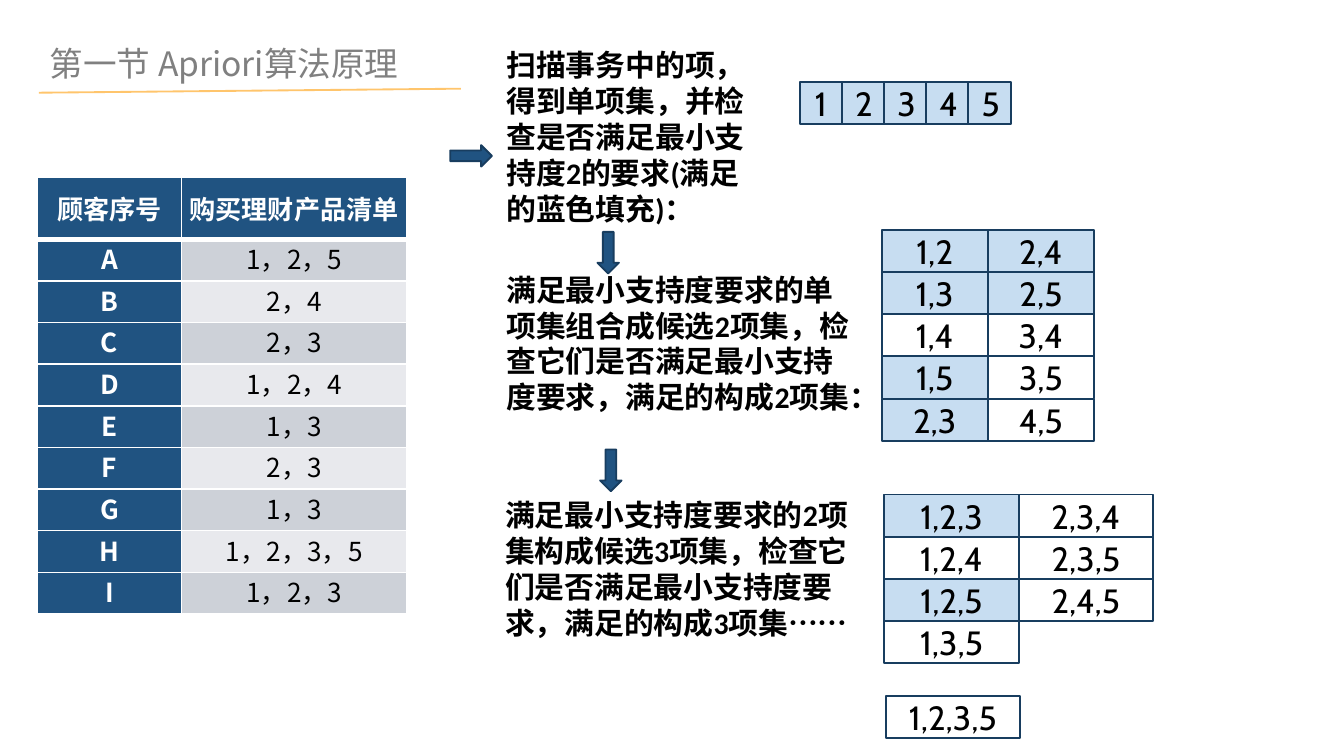
from dataclasses import dataclass

import lxml.etree
import pptx
import pptx.dml.color
import pptx.enum.shapes
import pptx.enum.text
import pptx.oxml.ns
import pptx.util

Inches = pptx.util.Inches
Pt = pptx.util.Pt
qn = pptx.oxml.ns.qn
SHAPES = pptx.enum.shapes.MSO_SHAPE
ANCHOR = pptx.enum.text.MSO_ANCHOR
CENTER = pptx.enum.text.PP_ALIGN.CENTER

COLORS = {
    "navy": "205381", "outline": "183D5F", "frequent": "C7DDF1", "white": "FFFFFF",
    "black": "000000", "title": "808080", "rule": "FFC56C", "odd": "CDD1D8", "even": "E8E9ED",
}
CJK_FONT = "Noto Sans CJK SC"
PAGE_WIDTH = 10
PAGE_HEIGHT = PAGE_WIDTH * 9 / 16
ITEM_SIDE = 1.57 / 5


@dataclass
class Note:
    left: float
    top: float
    width: float
    text: str


@dataclass
class Arrow:
    left: float
    top: float
    rotation: int


@dataclass
class ItemGrid:
    left: float
    top: float
    width: float
    columns: list[list[str]]
    frequent: set[str]


TRANSACTIONS = {
    "A": "1，2，5", "B": "2，4", "C": "2，3", "D": "1，2，4", "E": "1，3",
    "F": "2，3", "G": "1，3", "H": "1，2，3，5", "I": "1，2，3",
}
NOTES = [
    Note(3.67, 0.3, 2.05, "扫描事务中的项，得到单项集，并检查是否满足最小支持度2的要求(满足的蓝色填充)："),
    Note(3.67, 1.97, 2.76, "满足最小支持度要求的单项集组合成候选2项集，检查它们是否满足最小支持度要求，满足的构成2项集："),
    Note(3.66, 3.65, 2.76, "满足最小支持度要求的2项集构成候选3项集，检查它们是否满足最小支持度要求，满足的构成3项集……"),
]
ARROWS = [Arrow(3.35, 1.08, 0), Arrow(4.37, 1.8, 90), Arrow(4.39, 3.42, 90)]
GRIDS = [
    ItemGrid(5.95, 0.61, ITEM_SIDE, [[digit] for digit in "12345"], set("12345")),
    ItemGrid(6.56, 1.71, 0.79,
             [["1,2", "1,3", "1,4", "1,5", "2,3"], ["2,4", "2,5", "3,4", "3,5", "4,5"]],
             {"1,2", "1,3", "1,5", "2,3", "2,4", "2,5"}),
    ItemGrid(6.58, 3.68, 1,
             [["1,2,3", "1,2,4", "1,2,5", "1,3,5"], ["2,3,4", "2,3,5", "2,4,5"]],
             {"1,2,3", "1,2,5"}),
    ItemGrid(6.59, 5.18, 1, [["1,2,3,5"]], set()),
]


def rgb(color: str) -> pptx.dml.color.RGBColor:
    """Return the named colour."""
    return pptx.dml.color.RGBColor.from_string(COLORS[color])


def write(frame, text: str, size: int, font: str, color: str, bold: bool = False, align=None) -> None:
    """Fill a text frame with one formatted paragraph."""
    frame.text = text
    para = frame.paragraphs[0]
    para.alignment = align
    for span in para.runs:
        span.font.size = Pt(size)
        span.font.name = font
        span.font.bold = bold
        span.font.color.rgb = rgb(color)
        east_asian = lxml.etree.Element(qn("a:ea"), typeface=CJK_FONT)
        span.font._element.find(qn("a:latin")).addnext(east_asian)


def add_block(page, kind, left: float, top: float, width: float, height: float, fill: str):
    """Add an outlined preset shape."""
    block = page.shapes.add_shape(kind, Inches(left), Inches(top), Inches(width), Inches(height))
    block.shadow.inherit = False
    block.fill.solid()
    block.fill.fore_color.rgb = rgb(fill)
    block.line.color.rgb = rgb("outline")
    block.line.width = Pt(1)
    return block


def add_title(page) -> None:
    """Add the section title and its rule."""
    box = page.shapes.add_textbox(Inches(0.29), Inches(0.28), Inches(2.93), Inches(0.38))
    frame = box.text_frame
    frame.word_wrap = False
    frame.auto_size = pptx.enum.text.MSO_AUTO_SIZE.SHAPE_TO_FIT_TEXT
    frame.margin_left = frame.margin_right = Inches(0.08)
    frame.margin_top = frame.margin_bottom = Inches(0.04)
    write(frame, "第一节 Apriori算法原理", 18, CJK_FONT, "title")
    rule = page.shapes.add_connector(
        pptx.enum.shapes.MSO_CONNECTOR.STRAIGHT, Inches(0.29), Inches(0.69), Inches(3.43), Inches(0.66))
    rule.line.color.rgb = rgb("rule")
    rule.line.width = Pt(1)
    lxml.etree.SubElement(rule._element.spPr, qn("a:effectLst"))


def set_borders(cell, widths: dict[str, int]) -> None:
    """Give a table cell white borders of the given widths in points."""
    properties = cell._tc.get_or_add_tcPr()
    for index, (side, width) in enumerate(widths.items()):
        border = lxml.etree.Element(qn(f"a:{side}"), w=str(Pt(width)))
        fill = lxml.etree.SubElement(border, qn("a:solidFill"))
        lxml.etree.SubElement(fill, qn("a:srgbClr"), val=COLORS["white"])
        properties.insert(index, border)


def add_transactions(page) -> None:
    """Add the table of customers and purchased products."""
    rows = [("顾客序号", "购买理财产品清单"), *TRANSACTIONS.items()]
    table = page.shapes.add_table(
        len(rows), 2, Inches(0.28), Inches(1.32), Inches(2.75), Inches(3.25)).table
    for column, width in zip(table.columns, (1.07, 1.68)):
        column.width = Inches(width)
    for index, texts in enumerate(rows):
        header = index == 0
        table.rows[index].height = Inches(0.46 if header else 0.31)
        for position, text in enumerate(texts):
            cell = table.cell(index, position)
            strong = header or position == 0
            cell.margin_top = cell.margin_bottom = 0
            cell.margin_left = cell.margin_right = Inches(0 if header else 0.07)
            cell.vertical_anchor = ANCHOR.MIDDLE if header else ANCHOR.TOP
            cell.fill.solid()
            cell.fill.fore_color.rgb = rgb("navy" if strong else "odd" if index % 2 else "even")
            write(cell.text_frame, text, 14, CJK_FONT, "white" if strong else "black", strong, CENTER)
            top = {} if index == 1 else {"lnT": 1}
            set_borders(cell, {"lnL": 1, "lnR": 1, **top, "lnB": 3 if header else 1})


def add_note(page, note: Note) -> None:
    """Add the explanation of one step."""
    box = page.shapes.add_textbox(Inches(note.left), Inches(note.top), Inches(note.width), Inches(1.45))
    box.text_frame.word_wrap = True
    box.text_frame.auto_size = pptx.enum.text.MSO_AUTO_SIZE.SHAPE_TO_FIT_TEXT
    write(box.text_frame, note.text, 16, "Calibri", "black", True)


def add_arrow(page, arrow: Arrow) -> None:
    """Add a block arrow between steps."""
    block = add_block(page, SHAPES.RIGHT_ARROW, arrow.left, arrow.top, 0.31, 0.16, "navy")
    block.rotation = arrow.rotation


def add_grid(page, grid: ItemGrid) -> None:
    """Add the candidate itemsets, with the frequent ones filled."""
    for column, itemsets in enumerate(grid.columns):
        for row, itemset in enumerate(itemsets):
            fill = "frequent" if itemset in grid.frequent else "white"
            block = add_block(page, SHAPES.RECTANGLE, grid.left + column * grid.width,
                              grid.top + row * ITEM_SIDE, grid.width, ITEM_SIDE, fill)
            block.text_frame.vertical_anchor = ANCHOR.MIDDLE
            write(block.text_frame, itemset, 18, "Cabin", "black", align=CENTER)


def main() -> None:
    """Build the slide and save it."""
    deck = pptx.Presentation()
    deck.slide_width, deck.slide_height = Inches(PAGE_WIDTH), Inches(PAGE_HEIGHT)
    page = deck.slides.add_slide(deck.slide_layouts[6])
    add_title(page)
    add_transactions(page)
    for arrow in ARROWS:
        add_arrow(page, arrow)
    for note in NOTES:
        add_note(page, note)
    for grid in GRIDS:
        add_grid(page, grid)
    deck.save("out.pptx")


if __name__ == "__main__":
    main()
